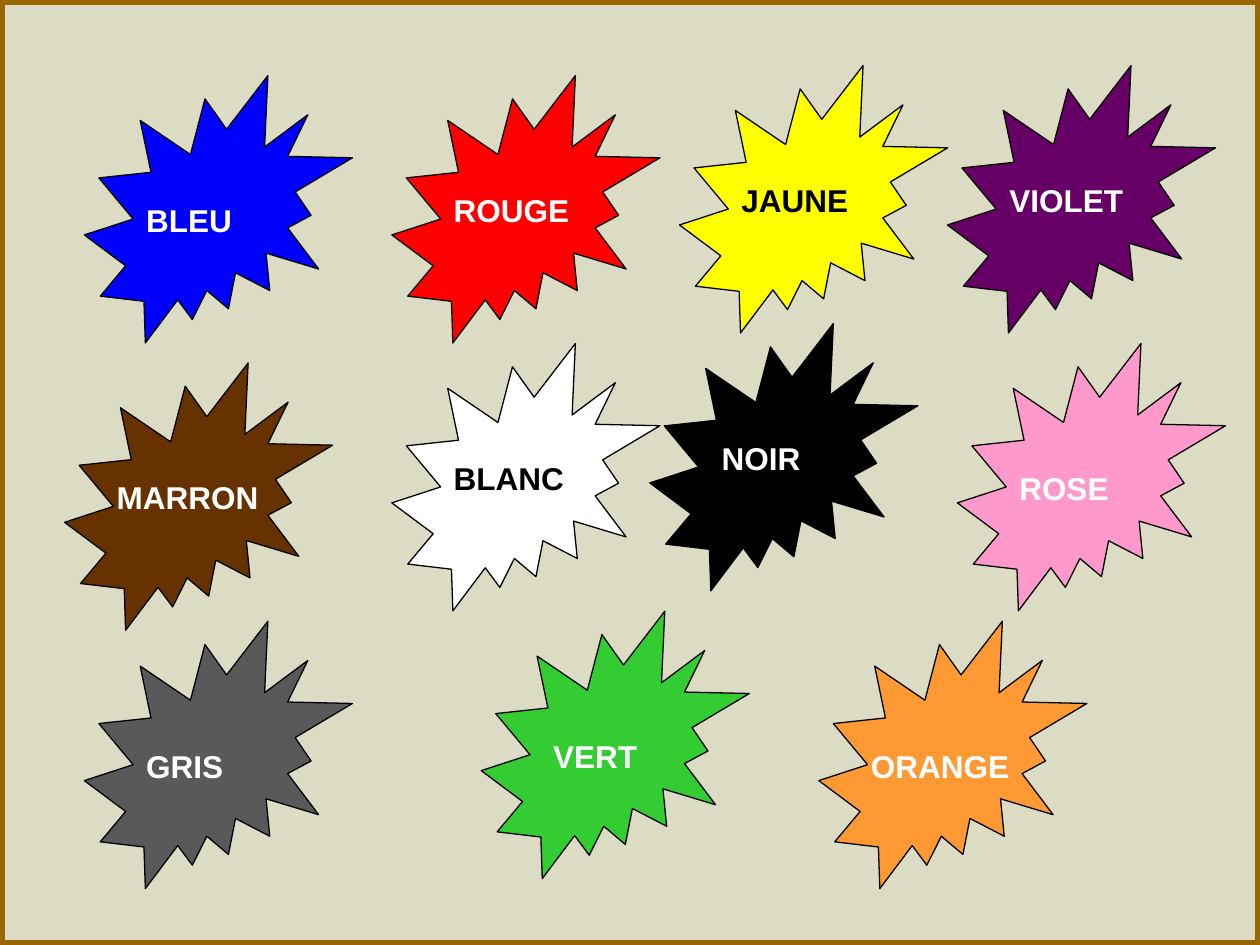
from pptx import Presentation
from pptx.dml.color import RGBColor
from pptx.enum.shapes import MSO_SHAPE
from pptx.enum.text import MSO_AUTO_SIZE
from pptx.util import Pt

RECTANGLE = MSO_SHAPE.RECTANGLE
BURST = MSO_SHAPE.EXPLOSION2
FIT_SHAPE = MSO_AUTO_SIZE.SHAPE_TO_FIT_TEXT

COLORS = {
    "background": "EBF1DE", "panel": "DCDBC3", "frame": "996600",
    "BLEU": "0000FF", "ROUGE": "FF0000", "JAUNE": "FFFF00", "VIOLET": "660066",
    "MARRON": "663300", "BLANC": "FFFFFF", "NOIR": "000000", "ROSE": "FF99CC",
    "GRIS": "595959", "VERT": "33CC33", "ORANGE": "FF9933",
}
SLIDE_SIZE = (720, 540)
BURST_SIZE = (153.2, 152.8)
LABEL_HEIGHT = 28.8
LABEL_FONT = {"name": "Arial", "size": Pt(18), "bold": True}
DARK_LABELS = ("JAUNE", "BLANC")

# name: burst left and top, label offset right and down, label width
BURSTS = {
    "BLEU": (48.2, 43.2, 28.3, 68.2, 79.2),
    "ROUGE": (223.9, 43.2, 28.3, 62.5, 85),
    "JAUNE": (388.3, 37.5, 28.3, 62.5, 79.2),
    "VIOLET": (541.4, 37.5, 28.3, 62.5, 85),
    "MARRON": (36.9, 207.4, 22.7, 62.5, 102.2),
    "BLANC": (223.9, 196.3, 28.3, 62.5, 79.2),
    "NOIR": (371.3, 184.9, 34, 62.5, 79.2),
    "ROSE": (547.1, 196.3, 28.3, 68.2, 79.2),
    "GRIS": (48.2, 355, 28.3, 68.2, 79.2),
    "VERT": (275, 349.3, 34, 68.2, 79.2),
    "ORANGE": (467.9, 355, 22.7, 68.2, 96.5),
}


class ColorSlide:
    """Draws styled elements on the current slide."""

    def __init__(self, slide):
        self.slide = slide
        self.colors = {name: RGBColor.from_string(code) for name, code in COLORS.items()}
        fill = slide.background.fill
        fill.solid()
        fill.fore_color.rgb = self.colors["background"]

    def shape(self, preset, left, top, size, fill, line, line_width):
        shape = self.slide.shapes.add_shape(preset, *map(Pt, (left, top, *size)))
        shape.shadow.inherit = False
        shape.fill.solid()
        shape.fill.fore_color.rgb = self.colors[fill]
        shape.line.color.rgb = self.colors[line]
        shape.line.width = Pt(line_width)

    def label(self, text, left, top, width, color):
        box = self.slide.shapes.add_textbox(*map(Pt, (left, top, width, LABEL_HEIGHT)))
        frame = box.text_frame
        frame.word_wrap = True
        frame.auto_size = FIT_SHAPE
        run = frame.paragraphs[0].add_run()
        run.text = text
        for attribute, value in LABEL_FONT.items():
            setattr(run.font, attribute, value)
        run.font.color.rgb = self.colors[color]


def main():
    deck = Presentation()
    deck.slide_width, deck.slide_height = map(Pt, SLIDE_SIZE)
    page = ColorSlide(deck.slides.add_slide(deck.slide_layouts[6]))
    page.shape(RECTANGLE, 0, 0, SLIDE_SIZE, "panel", "frame", 6)
    for name, (left, top, *_) in BURSTS.items():
        page.shape(BURST, left, top, BURST_SIZE, name, "NOIR", 0.75)
    for name, (left, top, right, down, width) in BURSTS.items():
        color = "NOIR" if name in DARK_LABELS else "BLANC"
        page.label(name, left + right, top + down, width, color)
    deck.save("out.pptx")


if __name__ == "__main__":
    main()
